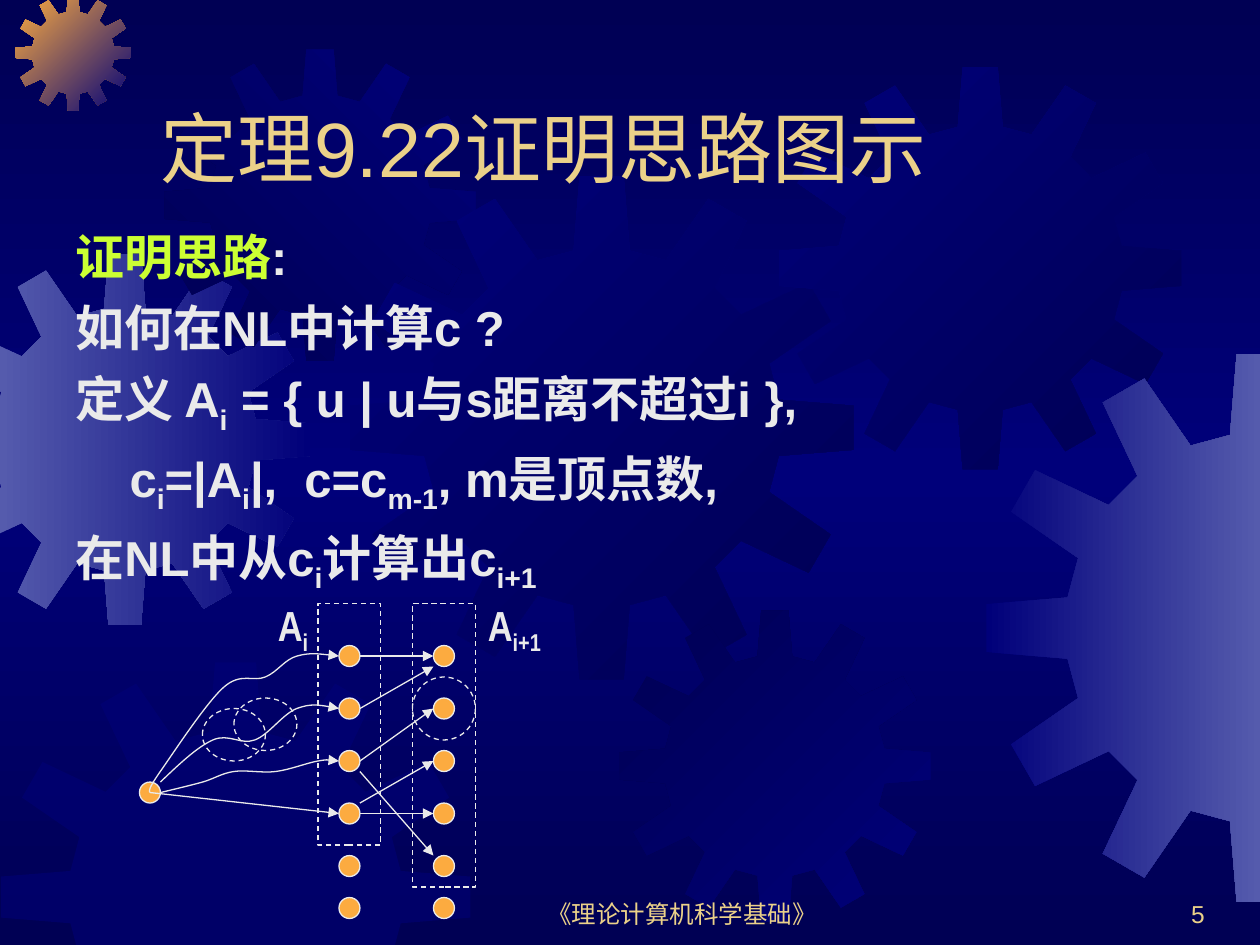
"""Build the slide that sketches the proof of theorem 9.22."""
from math import cos, radians, sin
from lxml.etree import SubElement
from pptx import Presentation
from pptx.dml.color import RGBColor
from pptx.enum.dml import MSO_LINE
from pptx.enum.shapes import MSO_CONNECTOR, MSO_SHAPE
from pptx.enum.text import MSO_ANCHOR, MSO_AUTO_SIZE, PP_ALIGN
from pptx.oxml.ns import qn
from pptx.util import Inches, Pt

HUES = {"navy": "000054", "blue": "00007A", "haze": "555BAD", "amber": "FCAB40",
        "gold": "EBD189", "pale": "EAEAEA", "lime": "CCFF33"}
WIDE, HIGH = 10, 7.5

TITLE = "定理9.22证明思路图示"
BODY = [
    (0, [("证明思路", "lime", 0), (":", "pale", 0)]),
    (0, [("如何在NL中计算c ?", "pale", 0)]),
    (0, [("定义 A", "pale", 0), ("i", "pale", 1),
         (" = { u | u与s距离不超过i },", "pale", 0)]),
    (0.43, [("c", "pale", 0), ("i", "pale", 1), ("=|A", "pale", 0), ("i", "pale", 1),
            ("|,  c=c", "pale", 0), ("m-1", "pale", 1), (", m是顶点数,", "pale", 0)]),
    (0, [("在NL中从c", "pale", 0), ("i", "pale", 1), ("计算出c", "pale", 0),
         ("i+1", "pale", 1)]),
]
FOOT = [("《理论计算机科学基础》", (3.83, 6.92, 3.17, 0.5), PP_ALIGN.CENTER),
        ("5", (7.58, 6.92, 2.08, 0.5), PP_ALIGN.RIGHT)]

TEETH, ROOT, TIP = 12, 0.355, 0.5
TOOTH = [(-9, ROOT), (-5, TIP), (5, TIP), (9, ROOT)]
GEARS = [
    {"at": (-0.49, 2.01), "size": 2.96, "hues": ("haze", "blue"), "turn": 0},
    {"at": (0.12, -0.04), "size": 0.92, "hues": ("amber", "blue"), "turn": 45},
    {"at": (1.3, 0.39), "size": 2.48, "hues": ("navy", "blue"), "turn": 315},
    {"at": (2.77, 1.39), "size": 4.01, "hues": ("blue", "navy"), "turn": 45},
    {"at": (0, 5.25), "size": 3.74, "hues": ("blue",), "turn": 0},
    {"at": (4.91, 4.84), "size": 2.48, "hues": ("navy", "blue"), "turn": 45},
    {"at": (6.18, 0.53), "size": 3.2, "hues": ("blue", "navy"), "turn": 45},
    {"at": (7.82, 2.8), "size": 4.37, "hues": ("blue", "haze"), "turn": 0},
]

UNIT = 1 / 12
ORIGIN = (1.19, 6.29)
START, LEFT, RIGHT = 0, 19, 28
ROWS = [-13, -8, -3, 2, 7, 11]
ROUTES = [
    [(0, 0), (1, -2), (7, -10), (11, -11), (14, -13), (18, -13)],
    [(1, -1), (6, -5), (10, -5), (14, -8), (18, -8)],
    [(1, 0), (5, -1), (8, -2), (12, -2), (16, -3), (18, -3)],
]
LINKS = [(-13, -13), (-3, -8), (-8, -12), (2, 2), (-2, 6), (1, -3)]
RINGS = [(5, -8, 6, 5), (8, -9, 6, 5), (25, -11, 6, 6)]
FRAMES = [(16, -18, 6, 23), (25, -18, 6, 27)]
TAGS = [("i", (11, -19, 7, 6.7)), ("i+1", (31, -19, 9, 6.7))]


def tint(name):
    return RGBColor.from_string(HUES[name])


def inch(box):
    return [Inches(v) for v in box]


def spot(col, row):
    return ORIGIN[0] + col * UNIT, ORIGIN[1] + row * UNIT


def area(col, row, cols, rows):
    return (*spot(col, row), cols * UNIT, rows * UNIT)


def blend(fill, host, names, turn):
    fill.gradient()
    node = host.find(".//" + qn("a:gradFill"))
    for kid in list(node):
        node.remove(kid)
    stops = SubElement(node, qn("a:gsLst"))
    for i, name in enumerate(names):
        stop = SubElement(stops, qn("a:gs"), pos=str(100000 * i // (len(names) - 1)))
        SubElement(stop, qn("a:srgbClr"), val=HUES[name])
    SubElement(node, qn("a:lin"), ang=str(turn * 60000), scaled="0")


def cog(at, size):
    x, y = (v + size / 2 for v in at)
    pts = []
    for i in range(TEETH):
        for lean, reach in TOOTH:
            angle = radians(360 / TEETH * i + lean)
            pts.append((x + size * reach * sin(angle), y - size * reach * cos(angle)))
    return pts


def clip(pts, axis, sign, bound):
    out = []
    for p, q in zip(pts, pts[1:] + pts[:1]):
        a, b = sign * (p[axis] - bound), sign * (q[axis] - bound)
        if a >= 0:
            out.append(p)
        if a * b < 0:
            out.append(tuple(u + (v - u) * a / (a - b) for u, v in zip(p, q)))
    return out


def trace(home, pts, close):
    pts = [(round(x * 1000), round(y * 1000)) for x, y in pts]
    pen = home.build_freeform(*pts[0], scale=914.4)
    pen.add_line_segments(pts[1:], close=close)
    shape = pen.convert_to_shape()
    shape.shadow.inherit = False
    return shape


def draw_gear(home, at, size, hues, turn):
    pts = cog(at, size)
    for axis, end in enumerate((WIDE, HIGH)):
        pts = clip(clip(pts, axis, 1, 0), axis, -1, end)
    gear = trace(home, pts, True)
    gear.line.fill.background()
    if len(hues) > 1:
        blend(gear.fill, gear._element, hues, turn)
        return
    gear.fill.solid()
    gear.fill.fore_color.rgb = tint(hues[0])
    SubElement(gear._element.spPr.find(".//" + qn("a:srgbClr")), qn("a:alpha"), val="50000")


def smooth(pts):
    """Return Bezier points of a curve whose slope at a knot follows its neighbours."""
    mid = [tuple((c - a) / 6 for a, c in zip(p, q)) for p, q in zip(pts, pts[2:])]
    ahead = [tuple(v + s for v, s in zip(p, d)) for p, d in zip(pts[1:], mid)]
    back = [tuple(v - s for v, s in zip(p, d)) for p, d in zip(pts[1:], mid)]
    first = tuple((a + b) / 2 for a, b in zip(pts[0], back[0]))
    last = tuple((a + b) / 2 for a, b in zip(pts[-1], ahead[-1]))
    out = [pts[0]]
    for leg in zip([first] + ahead, back + [last], pts[1:]):
        out.extend(leg)
    return out


def ink(shape, dash=False, arrow=False):
    shape.line.color.rgb = tint("pale")
    shape.line.width = Pt(0.75)
    if dash:
        shape.line.dash_style = MSO_LINE.DASH
    if arrow:
        SubElement(shape.line._get_or_add_ln(), qn("a:tailEnd"), type="triangle")


def draw_curve(home, knots):
    curve = trace(home, smooth([spot(*knot) for knot in knots]), False)
    curve.fill.background()
    ink(curve, arrow=True)
    route = curve._element.find(".//" + qn("a:path"))
    legs = route.findall(qn("a:lnTo"))
    for i in range(0, len(legs), 3):
        bend = SubElement(route, qn("a:cubicBezTo"))
        for leg in legs[i:i + 3]:
            bend.append(leg[0])
            route.remove(leg)


def mark(home, kind, cells, full=False):
    shape = home.add_shape(kind, *inch(area(*cells)))
    shape.shadow.inherit = False
    if full:
        shape.fill.solid()
        shape.fill.fore_color.rgb = tint("amber")
    else:
        shape.fill.background()
    ink(shape, dash=not full)


def join(home, start, end):
    line = home.add_connector(MSO_CONNECTOR.STRAIGHT, *inch(spot(*start) + spot(*end)))
    ink(line, arrow=True)
    SubElement(line._element.spPr, qn("a:effectLst"))


def write(para, runs, size, font="Arial", bold=False):
    for text, name, low in runs:
        run = para.add_run()
        run.text = text
        run.font.size, run.font.name, run.font.bold = Pt(size), font, bold
        run.font.color.rgb = tint(name)
        if low:
            run.font._element.set("baseline", "-25000")


def frame(home, box):
    text = home.add_textbox(*inch(box)).text_frame
    text.word_wrap = True
    return text


deck = Presentation()
deck.slide_width, deck.slide_height = Inches(WIDE), Inches(HIGH)
slide = deck.slides.add_slide(deck.slide_layouts[5])
shapes = slide.shapes
blend(slide.background.fill, slide.element, ("navy", "blue", "navy"), 90)
for gear in GEARS:
    draw_gear(shapes, **gear)

for text, box, side in FOOT:
    foot = frame(shapes, box)
    foot.vertical_anchor = MSO_ANCHOR.BOTTOM
    foot.paragraphs[0].alignment = side
    write(foot.paragraphs[0], [(text, "gold", 0)], 14)

title = shapes.title
title.left, title.top, title.width, title.height = inch((1.17, 0.33, 8.5, 1.25))
head = title.text_frame
head.auto_size, head.vertical_anchor = MSO_AUTO_SIZE.NONE, MSO_ANCHOR.BOTTOM
head.paragraphs[0].alignment = PP_ALIGN.LEFT
write(head.paragraphs[0], [(TITLE, "gold", 0)], 44)
shapes._spTree.append(title._element)

body = frame(shapes, (0.5, 1.75, 9, 3.12))
for i, (dent, runs) in enumerate(BODY):
    para = body.add_paragraph() if i else body.paragraphs[0]
    para.space_before = Pt(7)
    para._p.get_or_add_pPr().set("marL", str(Inches(dent)))
    write(para, runs, 28, bold=True)

graph = shapes.add_group_shape().shapes
for col, row in [(START, 0)] + [(col, row) for col in (LEFT, RIGHT) for row in ROWS]:
    mark(graph, MSO_SHAPE.OVAL, (col - 1, row - 1, 2, 2), True)
for knots in ROUTES:
    draw_curve(graph, knots)
join(graph, (START, 0), (LEFT - 1, ROWS[3]))
for a, b in LINKS:
    join(graph, (LEFT + 1, a), (RIGHT - 1, b))
for kind, group in ((MSO_SHAPE.OVAL, RINGS), (MSO_SHAPE.RECTANGLE, FRAMES)):
    for cells in group:
        mark(graph, kind, cells)
for sub, cells in TAGS:
    para = frame(graph, area(*cells)).paragraphs[0]
    para.space_before = Pt(15)
    write(para, [("A", "pale", 0), (sub, "pale", 1)], 24, "Arial Narrow", True)

deck.save("out.pptx")
